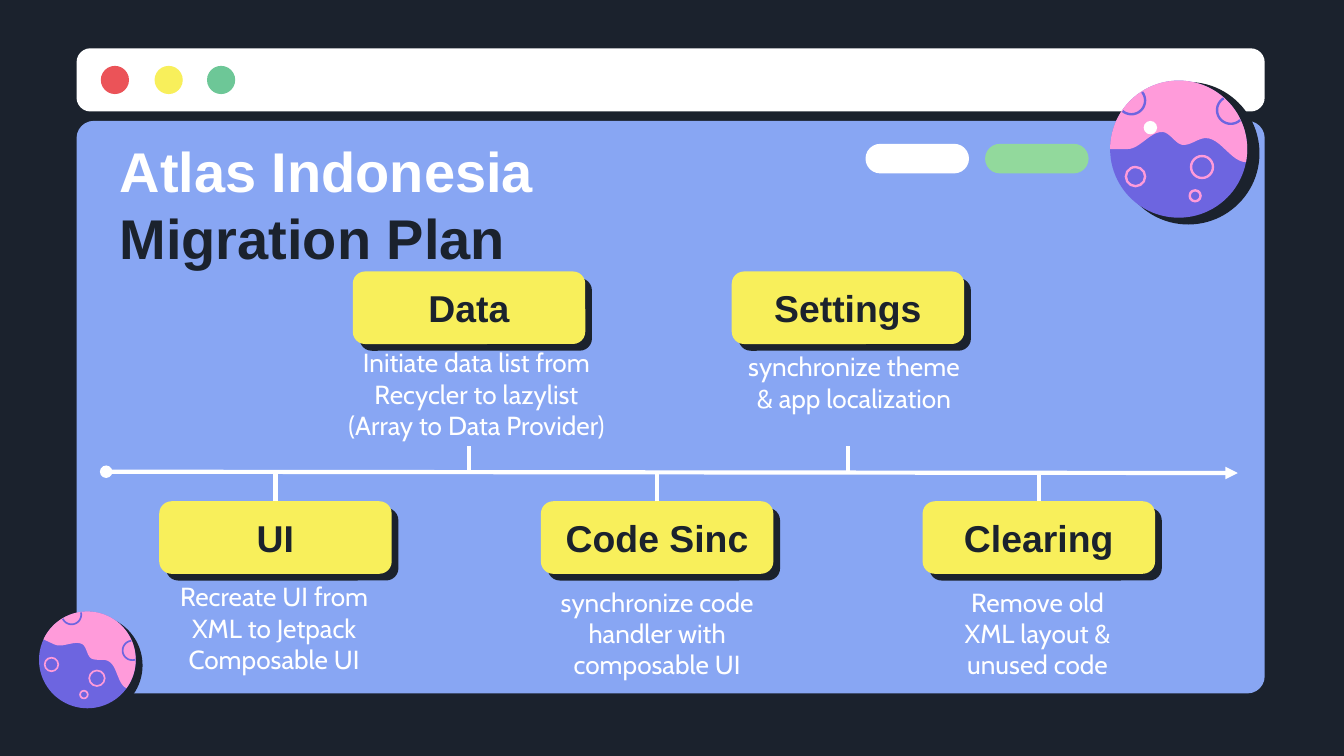
from math import atan2, cos, hypot, pi, radians, sin
from lxml.etree import SubElement
from pptx import Presentation
from pptx.dml.color import RGBColor
from pptx.enum.shapes import MSO_CONNECTOR, MSO_SHAPE
from pptx.enum.text import MSO_ANCHOR, MSO_AUTO_SIZE, PP_ALIGN
from pptx.oxml.ns import qn
from pptx.util import Inches, Pt

NAVY = RGBColor(0x1B, 0x22, 0x2D)
BLUE = RGBColor(0x88, 0xA6, 0xF3)
WHITE = RGBColor(0xFF, 0xFF, 0xFF)
RED = RGBColor(0xEB, 0x53, 0x58)
YELLOW = RGBColor(0xF8, 0xEF, 0x5B)
GREEN = RGBColor(0x6D, 0xC7, 0x97)
LIGHT_GREEN = RGBColor(0x92, 0xD9, 0x9C)
PURPLE = RGBColor(0x6D, 0x65, 0xE0)
PINK = RGBColor(0xFF, 0x9B, 0xDA)

prs = Presentation()
prs.slide_width = Inches(10)
prs.slide_height = prs.slide_width * 9 // 16
s = prs.slides.add_slide(prs.slide_layouts[5])
s.background.fill.solid()
s.background.fill.fore_color.rgb = NAVY


def paint(sp, fill=None, line=None, width=1):
    sp.shadow.inherit = False
    for part, color in ((sp.fill, fill), (sp.line.fill, line)):
        if color is None:
            part.background()
        else:
            part.solid()
            part.fore_color.rgb = color
    if line is not None:
        sp.line.width = Pt(width)


def shape(kind, x, y, w, h, fill=None, adj=None, line=None, width=1):
    sp = s.shapes.add_shape(kind, Inches(x), Inches(y), Inches(w), Inches(h))
    if adj is not None:
        sp.adjustments[0] = adj
    paint(sp, fill, line, width)
    return sp


ROUND, OVAL = MSO_SHAPE.ROUNDED_RECTANGLE, MSO_SHAPE.OVAL
shape(ROUND, 0.57, 0.9, 8.84, 4.26, BLUE, 0.03)
shape(ROUND, 0.57, 0.36, 8.84, 0.47, WHITE, 0.22)
for x, color in ((0.75, RED), (1.15, YELLOW), (1.54, GREEN)):
    shape(OVAL, x, 0.49, 0.21, 0.21, color)
for x, color in ((6.44, WHITE), (7.33, LIGHT_GREEN)):
    shape(ROUND, x, 1.07, 0.77, 0.22, color, 0.5)

knots = [(-1, 0), (-0.75, 0), (-0.24, -0.25), (0.07, -0.06), (0.4, -0.16), (0.98, 0.19)]
cap = []
for (x0, y0), (x1, y1) in zip(knots, knots[1:]):
    for i in range(12):
        t = i / 12
        cap.append((x0 + (x1 - x0) * t, y0 + (y1 - y0) * (1 - cos(pi * t)) / 2))
cap += [(cos(radians(a)), sin(radians(a))) for a in range(11, -180, -3)]
outlines = [(cap, True)]
for x, y, r in ((-0.69, -0.71, 0.2), (0.76, -0.57, 0.2)):
    start = atan2(y, x)
    rim = [(x + r * cos(start + radians(a)), y + r * sin(start + radians(a))) for a in range(0, 360, 6)]
    outlines.append(([p for p in rim if hypot(*p) < 1], False))

circles = [(0.14, 0.06, 1.04, NAVY, None), (0, 0, 1, PURPLE, None)]
craters = [(-0.63, 0.4, 0.14, None, PINK), (0.34, 0.26, 0.16, None, PINK), (0.24, 0.68, 0.08, None, PINK)]
for cx, cy, size, turn in ((8.77, 1.11, 0.51, 0), (0.65, 4.91, 0.36, 25)):
    c, n = cos(radians(turn)) * size, sin(radians(turn)) * size
    for i, (x, y, r, fill, ring) in enumerate(circles + craters):
        if i == len(circles):
            for points, closed in outlines:
                pts = [(Inches(cx + u * c - v * n), Inches(cy + u * n + v * c)) for u, v in points]
                fb = s.shapes.build_freeform(*pts[0], scale=1.0)
                fb.add_line_segments(pts[1:], close=closed)
                paint(fb.convert_to_shape(), PINK if closed else None, None if closed else PURPLE, 2.5 * size)
        shape(OVAL, cx + x * c - y * n - r * size, cy + x * n + y * c - r * size,
              2 * r * size, 2 * r * size, fill, line=ring, width=2.5 * size)

title = s.shapes.title
s.shapes.element.append(title.element)
title.left, title.top, title.width, title.height = [Inches(v) for v in (0.79, 1.06, 8.43, 0.91)]
tf = title.text_frame
tf.auto_size = MSO_AUTO_SIZE.NONE
tf.vertical_anchor = MSO_ANCHOR.MIDDLE
tf.margin_left = tf.margin_right = tf.margin_top = tf.margin_bottom = Inches(0.1)
p = tf.paragraphs[0]
p.alignment = PP_ALIGN.LEFT
for i, (text, color) in enumerate((("Atlas Indonesia ", WHITE), ("Migration Plan", NAVY))):
    if i:
        p.add_line_break()
    r = p.add_run()
    r.text = text
    r.font.name, r.font.size, r.font.bold = "Arial", Pt(30), True
    r.font.color.rgb = color
shape(OVAL, 8.51, 0.9, 0.1, 0.1, WHITE)

AXIS, TICK = 3.52, 0.21
CARD_W, CARD_H = 1.73, 0.54
steps = [
    (2.05, "UI", "Recreate UI from XML to Jetpack Composable UI", 1.17, 4.22, 1.74),
    (3.49, "Data", "Initiate data list from Recycler to lazylist (Array to Data Provider)", 2.44, 2.48, 2.21),
    (4.89, "Code Sinc", "synchronize code handler with composable UI", 4.02, 4.26, 1.74),
    (6.31, "Settings", "synchronize theme & app localization", 5.39, 2.51, 1.93),
    (7.73, "Clearing", "Remove old XML layout & unused code", 6.96, 4.26, 1.52),
]
lines = [(0.79, AXIS - 0.01, 9.21, AXIS)]
for i, (x, name, detail, left, top, width) in enumerate(steps):
    above = i % 2
    y = 2.02 if above else AXIS + TICK
    lines.append((x, AXIS - 0.2 if above else AXIS + TICK, x, AXIS))
    shape(ROUND, x - CARD_W / 2 + 0.05, y + 0.05, CARD_W, CARD_H, NAVY, 0.17)
    card = shape(ROUND, x - CARD_W / 2, y, CARD_W, CARD_H, YELLOW, 0.17)
    box = s.shapes.add_textbox(Inches(left), Inches(top), Inches(width), Inches(0.77))
    for sp, text, font, size, color in ((card, name, "Arial", 20, NAVY), (box, detail, "Cabin", 14, WHITE)):
        tf = sp.text_frame
        tf.word_wrap = True
        tf.vertical_anchor = MSO_ANCHOR.MIDDLE if sp is card else MSO_ANCHOR.TOP
        tf.margin_left = tf.margin_right = tf.margin_top = tf.margin_bottom = Inches(0.1)
        p = tf.paragraphs[0]
        p.alignment = PP_ALIGN.CENTER
        r = p.add_run()
        r.text = text
        r.font.name, r.font.size, r.font.bold = font, Pt(size), sp is card
        r.font.color.rgb = color

for i, ends in enumerate(lines):
    line = s.shapes.add_connector(MSO_CONNECTOR.STRAIGHT, *[Inches(v) for v in ends])
    line.line.color.rgb = WHITE
    line.line.width = Pt(2.25)
    SubElement(line.element.spPr, qn("a:effectLst"))
    if i == 0:
        ln = line.element.spPr.find(qn("a:ln"))
        SubElement(ln, qn("a:headEnd"), type="oval")
        SubElement(ln, qn("a:tailEnd"), type="triangle")

prs.save("out.pptx")
